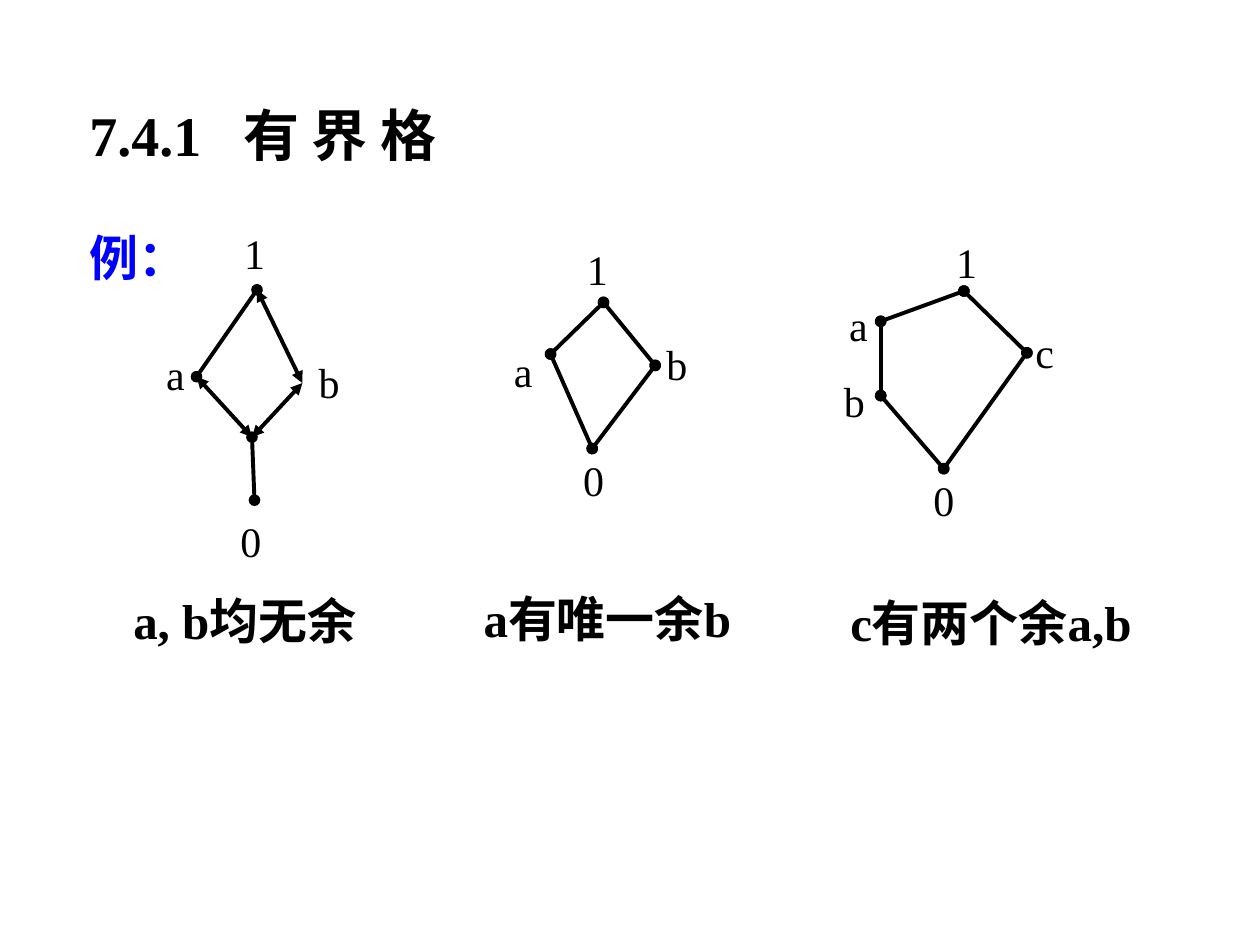
from lxml import etree
from pptx import Presentation
from pptx.dml.color import RGBColor
from pptx.enum.shapes import MSO_CONNECTOR
from pptx.enum.text import MSO_ANCHOR, MSO_AUTO_SIZE, PP_ALIGN
from pptx.oxml.ns import qn
from pptx.util import Inches, Pt

STRAIGHT = MSO_CONNECTOR.STRAIGHT
LEFT, JUSTIFY = PP_ALIGN.LEFT, PP_ALIGN.JUSTIFY
MIDDLE = MSO_ANCHOR.MIDDLE
FIT_TEXT = MSO_AUTO_SIZE.SHAPE_TO_FIT_TEXT
BLACK = RGBColor(0x00, 0x00, 0x00)
BLUE = RGBColor(0x00, 0x00, 0xFF)
LATIN, CHINESE = "Times New Roman", "Noto Sans CJK SC"

deck = Presentation()
deck.slide_width, deck.slide_height = Inches(10), Inches(7.5)
COL, ROW = deck.slide_width / 100, deck.slide_height / 75
slide = deck.slides.add_slide(deck.slide_layouts[5])


def add_run(paragraph, text, size, bold=True, color=BLACK, latin=LATIN):
    run = paragraph.add_run()
    run.text = text
    for name, value in {"size": Pt(size), "bold": bold, "name": latin}.items():
        setattr(run.font, name, value)
    run.font.color.rgb = color
    etree.SubElement(run.font._element, qn("a:ea"), typeface=CHINESE)


def add_text(shapes, col, row, cols, rows, wrap=True):
    """Add an empty text box on the grid and return its first paragraph."""
    box = shapes.add_textbox(*map(round, (col * COL, row * ROW, cols * COL, rows * ROW)))
    box.text_frame.word_wrap = wrap
    box.text_frame.auto_size = FIT_TEXT
    return box.text_frame.paragraphs[0]


# Heading: the number, then the topic at a tab stop
heading = slide.shapes.title
for name, value in {"left": 6.1 * COL, "top": 5.8 * ROW,
                    "width": 87.7 * COL, "height": 9.7 * ROW}.items():
    setattr(heading, name, round(value))
heading.text_frame.vertical_anchor = MIDDLE
topic = heading.text_frame.paragraphs[0]
topic.alignment = LEFT
tabs = etree.SubElement(topic._p.get_or_add_pPr(), qn("a:tabLst"))
etree.SubElement(tabs, qn("a:tab"), pos=str(round(12.2 * COL)), algn="l")
add_run(topic, "7.4.1\t", 32)
add_run(topic, "有 界 格", 32, latin=CHINESE)

example = add_text(slide.shapes, 6.1, 16.6, 90.8, 50)
example.alignment = JUSTIFY
example.line_spacing = 1.2
add_run(example, "例：", 28, color=BLUE, latin=CHINESE)

# Each lattice: points, edges as (from, to, line end) and label corners
lattices = [
    {"points": {"1": (20.4, 23), "a": (15.6, 29.9), "b": (24, 30.4),
                "m": (20, 34.7), "0": (20.2, 39.7)},
     "edges": [("m", "a", "triangle"), ("m", "b", "triangle"), ("b", "1", "triangle"),
               ("a", "1", "oval"), ("m", "0", "oval")],
     "labels": {"a": (12.2, 27.2), "b": (24.3, 27.8), "1": (18.4, 17.6), "0": (18.1, 40.4)}},
    {"points": {"1": (47.9, 24), "a": (43.7, 28.1), "b": (52, 29), "0": (47, 35.6)},
     "edges": [("1", "b", "oval"), ("1", "a", "oval"), ("a", "0", "oval"), ("b", "0", "oval")],
     "labels": {"a": (39.8, 26.9), "b": (51.9, 26.4), "1": (45.6, 18.8), "0": (45.3, 35.6)}},
    {"points": {"1": (76.5, 23.1), "a": (69.9, 25.5), "b": (69.9, 31.4),
                "c": (81.5, 28), "0": (74.9, 37.2)},
     "edges": [("1", "c", "oval"), ("1", "a", "oval"), ("a", "b", "oval"),
               ("b", "0", "oval"), ("c", "0", "oval")],
     "labels": {"a": (66.4, 23.3), "b": (66, 29.3), "c": (81.2, 25.4),
                "1": (74.9, 18.3), "0": (73.1, 37.2)}},
]

for lattice in lattices:
    diagram = slide.shapes.add_group_shape().shapes
    for start, finish, line_end in lattice["edges"]:
        (x1, y1), (x2, y2) = lattice["points"][start], lattice["points"][finish]
        edge = diagram.add_connector(
            STRAIGHT, *map(round, (x1 * COL, y1 * ROW, x2 * COL, y2 * ROW)))
        edge.line.width = Pt(2.25)
        edge.line.color.rgb = BLACK
        for tag in ("a:headEnd", "a:tailEnd"):
            etree.SubElement(edge.line._get_or_add_ln(), qn(tag), type=line_end)
        etree.SubElement(edge._element.spPr, qn("a:effectLst"))
    for element, (col, row) in lattice["labels"].items():
        add_run(add_text(diagram, col, row, 3.6, 5, wrap=False), element, 24, bold=False)

captions = [
    ("a, b均无余", 9.6, 46.4, 24.6),
    ("a有唯一余b", 37.4, 46.2, 23.6),
    ("c有两个余a,b", 66.5, 46.5, 27.4),
]
for caption, col, row, cols in captions:
    add_run(add_text(slide.shapes, col, row, cols, 5.7), caption, 28)

deck.save("out.pptx")
